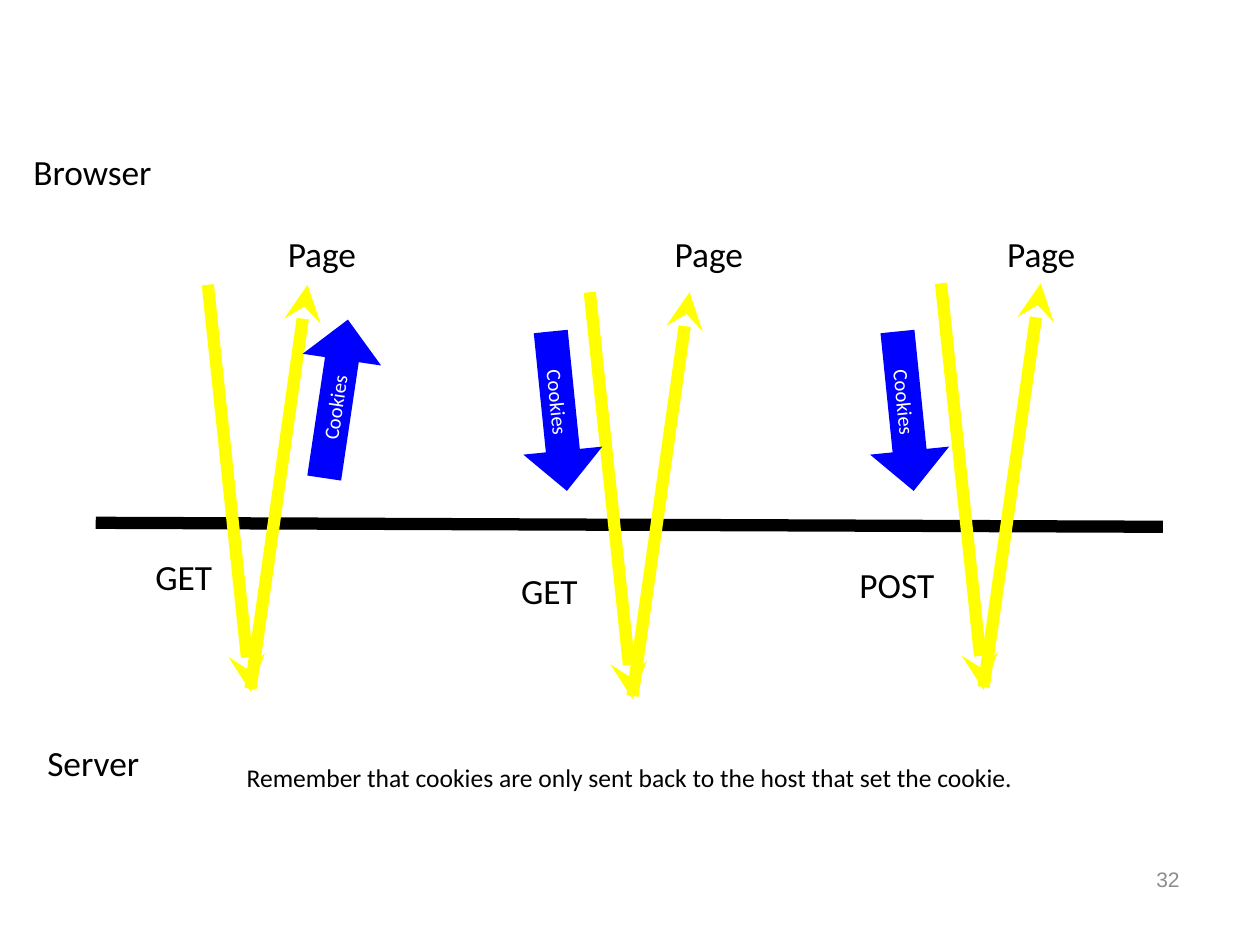
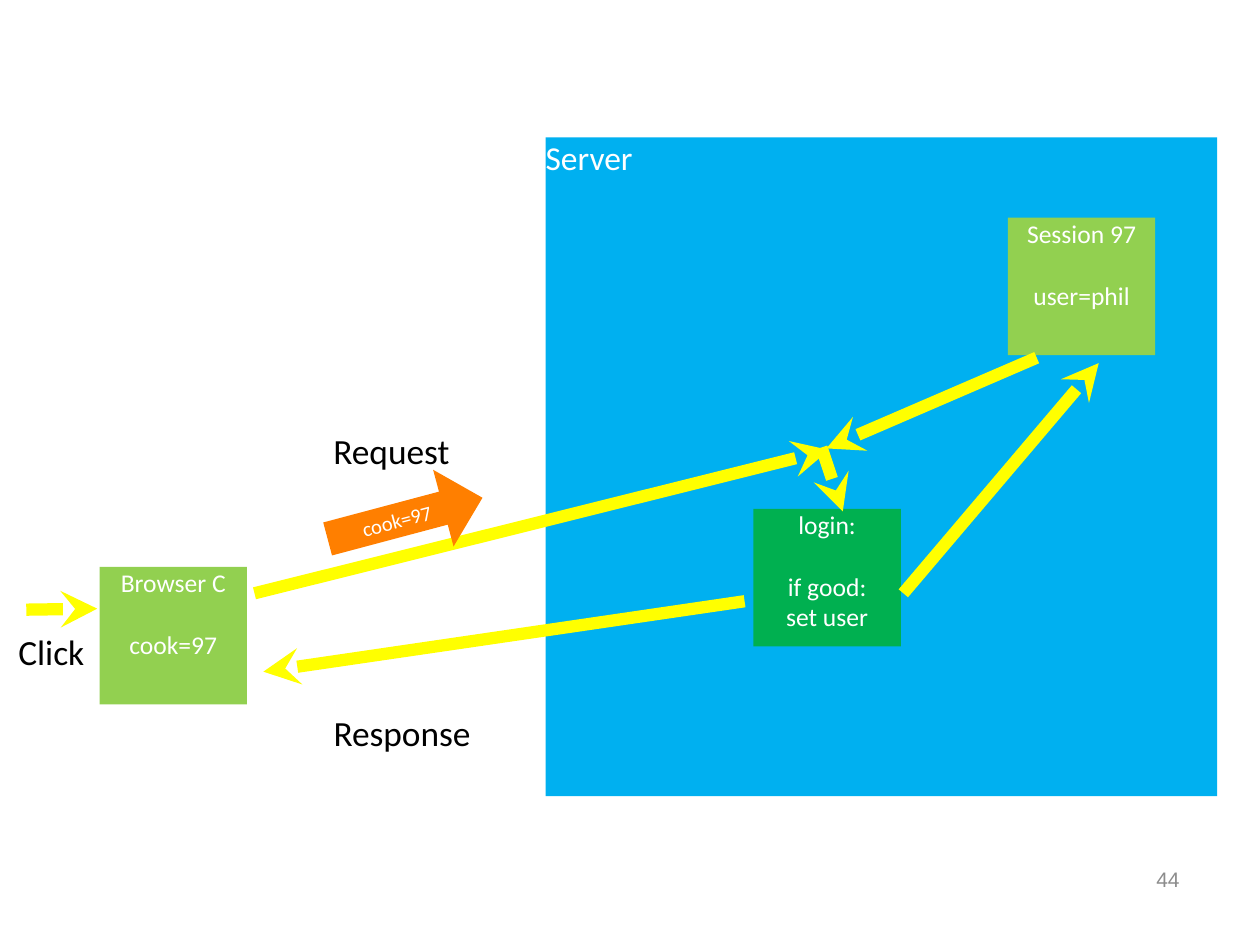
from dataclasses import dataclass

from lxml.etree import SubElement
from pptx import Presentation
from pptx.dml.color import RGBColor as Rgb
from pptx.enum.shapes import MSO_CONNECTOR as Connector, MSO_SHAPE as Shape
from pptx.enum.text import MSO_ANCHOR as Anchor, MSO_AUTO_SIZE as AutoSize, PP_ALIGN as Align
from pptx.oxml.ns import qn
from pptx.util import Cm, Pt


@dataclass(frozen=True)
class Theme:
    ink: str = "000000"
    paper: str = "FFFFFF"
    muted: str = "8C8C8C"
    flow: str = "FFFF00"
    cookie: str = "0000FF"
    sent_cookie: str = "FF7F00"
    server: str = "00B0F0"
    state: str = "92D050"
    code: str = "00B050"
    font: str = "Calibri"
    number_font: str = "Arial"
    label_size: float = 20.2
    server_size: float = 19.1
    body_size: float = 14.6
    number_size: float = 12
    cookie_size: float = 11.8
    line_width: float = 7


class Deck:
    def __init__(self, theme):
        self.theme = theme
        self.presentation = Presentation()
        self.presentation.slide_width = Cm(25.4)
        self.presentation.slide_height = Cm(19.05)
        self.slide = None

    def new_slide(self, number):
        blank = self.presentation.slide_layouts[6]
        self.slide = self.presentation.slides.add_slide(blank)
        box = self.slide.shapes.add_textbox(Cm(23.06), Cm(17.35), Cm(1.47), Cm(1.27))
        box.text_frame.word_wrap = True
        box.text_frame.text = number
        self.style_text(box.text_frame, self.theme.number_size, self.theme.muted,
                        Align.LEFT, self.theme.number_font)

    def style_text(self, frame, size, color, align=Align.CENTER, font=None):
        for paragraph in frame.paragraphs:
            paragraph.alignment = align
            for run in paragraph.runs:
                run.font.size = Pt(size)
                run.font.name = font or self.theme.font
                run.font.color.rgb = Rgb.from_string(color)

    def fill_frame(self, frame, text, size, color, anchor, align=Align.CENTER):
        frame.margin_left = frame.margin_right = 0
        frame.margin_top = frame.margin_bottom = 0
        frame.vertical_anchor = anchor
        frame.text = text
        self.style_text(frame, size, color, align)

    def label(self, text, left, top, width, height=0.86, size=None):
        box = self.slide.shapes.add_textbox(Cm(left), Cm(top), Cm(width), Cm(height))
        frame = box.text_frame
        frame.word_wrap = False
        frame.auto_size = AutoSize.SHAPE_TO_FIT_TEXT
        self.fill_frame(frame, text, size or self.theme.label_size, self.theme.ink,
                        Anchor.MIDDLE)

    def solid(self, kind, left, top, width, height, color):
        shape = self.slide.shapes.add_shape(kind, Cm(left), Cm(top), Cm(width), Cm(height))
        shape.shadow.inherit = False
        shape.fill.solid()
        shape.fill.fore_color.rgb = Rgb.from_string(color)
        shape.line.fill.background()
        return shape

    def server_area(self, left, top, width, height):
        area = self.solid(Shape.RECTANGLE, left, top, width, height, self.theme.server)
        self.fill_frame(area.text_frame, "Server", self.theme.server_size,
                        self.theme.paper, Anchor.TOP, Align.LEFT)

    def node(self, heading, detail, left, top, color):
        """Draw a box with a heading and, one line lower, its details."""
        box = self.solid(Shape.RECTANGLE, left, top, 2.97, 2.77, color)
        frame = box.text_frame
        self.fill_frame(frame, f"{heading}\n{detail}", self.theme.body_size,
                        self.theme.paper, Anchor.TOP)
        frame.paragraphs[1].space_before = Pt(17.8)

    def cookie(self, text, left, top, rotation, color):
        arrow = self.solid(Shape.RIGHT_ARROW, left, top, 3.23, 1.6, color)
        arrow.adjustments[0] = 0.43
        arrow.adjustments[1] = 0.51
        arrow.rotation = rotation
        self.fill_frame(arrow.text_frame, text, self.theme.cookie_size,
                        self.theme.paper, Anchor.MIDDLE)

    def line(self, start, end, color):
        line = self.slide.shapes.add_connector(
            Connector.STRAIGHT, *(Cm(value) for value in (*start, *end)))
        line.line.color.rgb = Rgb.from_string(color)
        line.line.width = Pt(self.theme.line_width)
        SubElement(line._element.spPr, qn("a:effectLst"))
        return line

    def flow(self, start, end):
        arrow = self.line(start, end, self.theme.flow)
        SubElement(arrow.line._get_or_add_ln(), qn("a:tailEnd"), type="stealth")


def cookie_exchange(deck):
    theme = deck.theme
    deck.new_slide("32")
    deck.line((1.93, 10.54), (23.44, 10.62), theme.ink)
    deck.label("Browser", 0.66, 3.02, 2.41)
    deck.label("Server", 0.94, 14.94, 1.88)

    for dx, dy in ((0, 0), (7.7, 0.15), (14.78, -0.03)):
        deck.flow((4.19 + dx, 5.74 + dy), (5.05 + dx, 13.94 + dy))
        deck.flow((5.05 + dx, 13.88 + dy), (6.2 + dx, 5.74 + dy))
    for page_left in (5.79, 13.59, 20.29):
        deck.label("Page", page_left, 4.67, 1.4)
    for method, left, top, width in (("GET", 3.12, 11.18, 1.17),
                                     ("GET", 10.49, 11.48, 1.17),
                                     ("POST", 17.32, 11.35, 1.52)):
        deck.label(method, left, top, width)
    for left, top, rotation in ((9.65, 7.49, 84.2), (16.64, 7.49, 84.2),
                                (5.16, 7.24, 278.5)):
        deck.cookie("Cookies", left, top, rotation, theme.cookie)
    deck.label("Remember that cookies are only sent back to the host that set the cookie.",
               4.93, 15.34, 15.54, 0.64, theme.body_size)


def login_session(deck):
    theme = deck.theme
    deck.new_slide("44")
    deck.server_area(11, 2.77, 13.54, 13.28)
    deck.node("Session 97", "user=phil", 20.32, 4.39, theme.state)
    deck.node("Browser C", "cook=97", 2.01, 11.43, theme.state)
    deck.node("login:", "if good:\nset user", 15.19, 10.26, theme.code)

    for start, end in (
        ((0.53, 12.29), (1.96, 12.27)),    # click to browser
        ((5.13, 11.96), (16.71, 9.07)),    # browser to server
        ((20.9, 7.21), (16.66, 9.04)),     # session to request
        ((16.56, 9.02), (16.99, 10.31)),   # request to login
        ((18.21, 11.96), (22.15, 7.32)),   # login to session
        ((15.01, 12.12), (5.31, 13.54)),   # login to browser
    ):
        deck.flow(start, end)

    deck.label("Request", 6.71, 8.64, 2.36)
    deck.label("Click", 0.36, 12.7, 1.35)
    deck.label("Response", 6.71, 14.33, 2.79)
    deck.cookie("cook=97", 6.55, 9.65, 345.1, theme.sent_cookie)


def main():
    deck = Deck(Theme())
    cookie_exchange(deck)
    login_session(deck)
    deck.presentation.save("out.pptx")


if __name__ == "__main__":
    main()
